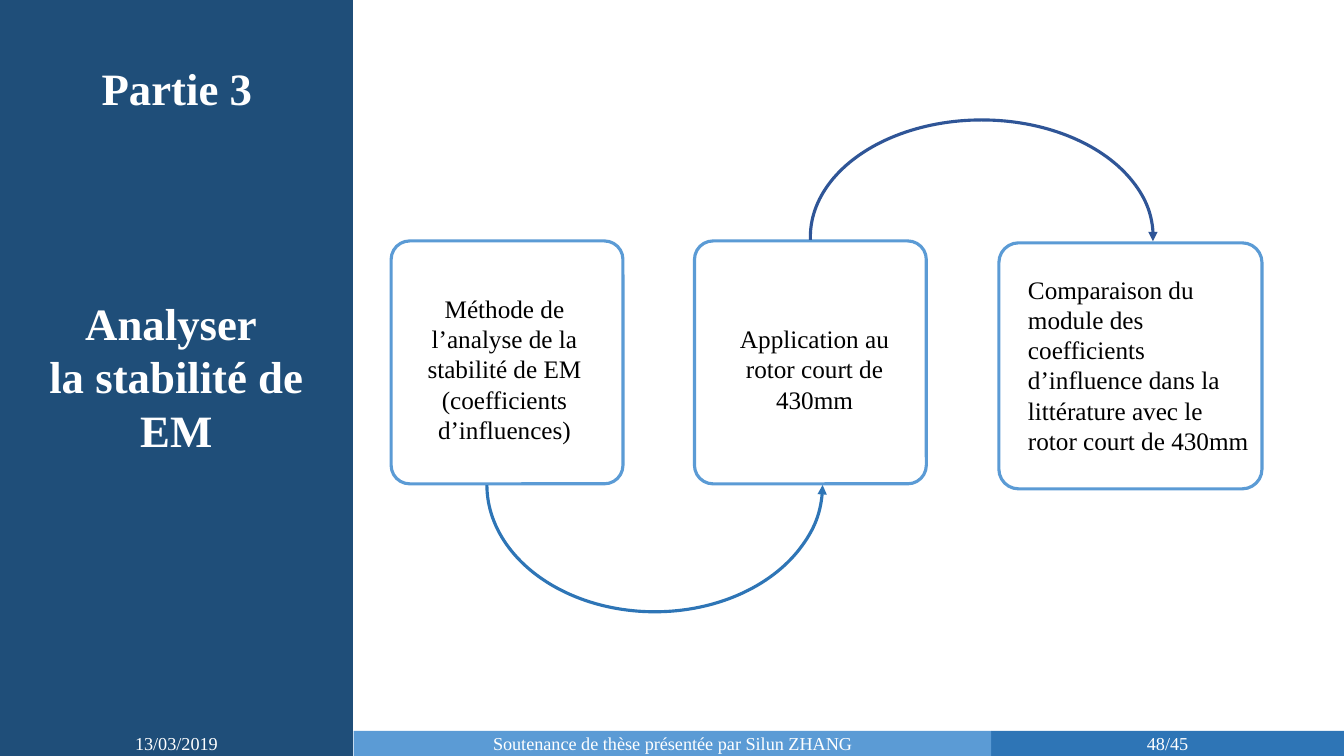
import pptx
import pptx.dml.color
import pptx.enum.shapes
import pptx.enum.text
import pptx.oxml
import pptx.util
from pptx.oxml.ns import qn

Pt = pptx.util.Pt
SHAPES = pptx.enum.shapes.MSO_SHAPE
ALIGN = pptx.enum.text.PP_ALIGN

SLIDE_WIDTH, SLIDE_HEIGHT = 960, 540
PANEL_WIDTH, FOOTER_HEIGHT = 252, 18
NAVY, BLUE, SKY, INDIGO = "1F4E79", "2E75B6", "5B9BD5", "2F5597"
WHITE, BLACK = "FFFFFF", "000000"

FOOTERS = [
    ("48/45", 708, 252, BLUE),
    ("13/03/2019", 0, PANEL_WIDTH, NAVY),
    ("Soutenance de thèse présentée par Silun ZHANG", 252.5, 455.5, SKY),
]
TITLES = [
    (["Analyser ", "la stabilité de EM"], (5, 207.4, 242, 123.8), True),
    (["Partie 3"], (64.8, 39.6, 123.1, 46.1), False),
]
STEPS = [
    (["Méthode de l’analyse de la stabilité de EM", "(coefficients d’influences)"],
     (288.7, 205.9, 143.3, 116.6), ALIGN.CENTER, (279.4, 172.1, 165.6, 173.5)),
    (["Application au\nrotor court de 430mm"],
     (496.1, 227.5, 171.4, 72.7), ALIGN.CENTER, (496.1, 172.1, 165.6, 173.5)),
    (["Comparaison du module des coefficients d’influence dans la littérature avec le rotor court de 430mm"],
     (727.2, 192.2, 174.2, 138.2), ALIGN.LEFT, (713.5, 173.5, 187.9, 175.7)),
]
ARCS = [
    ((347.8, 255.6, 239.8, 181.4), (180.08, 359.93), BLUE, True),
    ((578.9, 85.7, 244.8, 167), (178.96, 1.5), INDIGO, False),
]


def color(value):
    return pptx.dml.color.RGBColor.from_string(value)


def add_shape(kind, bounds, fill=None, line=None, width=2.25):
    shape = slide.shapes.add_shape(kind, *map(Pt, bounds))
    shape.shadow.inherit = False
    if fill:
        shape.fill.solid()
        shape.fill.fore_color.rgb = color(fill)
    else:
        shape.fill.background()
    if line:
        shape.line.color.rgb = color(line)
        shape.line.width = Pt(width)
    else:
        shape.line.fill.background()
    return shape


def write(frame, paragraphs, size, ink, alignment=ALIGN.CENTER, bold=False):
    for index, text in enumerate(paragraphs):
        paragraph = frame.paragraphs[0] if index == 0 else frame.add_paragraph()
        paragraph.alignment = alignment
        for row, part in enumerate(text.split("\n")):
            if row:
                paragraph.add_line_break()
            run = paragraph.add_run()
            run.text = part
            run.font.name = "Times New Roman"
            run.font.size = Pt(size)
            run.font.bold = bold
            run.font.color.rgb = color(ink)


def add_text(paragraphs, bounds, size, ink, alignment=ALIGN.CENTER, bold=False, wrap=True):
    frame = slide.shapes.add_textbox(*map(Pt, bounds)).text_frame
    frame.word_wrap = wrap
    frame.auto_size = pptx.enum.text.MSO_AUTO_SIZE.SHAPE_TO_FIT_TEXT
    write(frame, paragraphs, size, ink, alignment, bold)


def add_arc(bounds, angles, ink, flipped):
    arc = add_shape(SHAPES.ARC, bounds, line=ink)
    for index, degrees in enumerate(angles):
        arc.adjustments[index] = degrees * 0.6
    if flipped:
        arc._element.spPr.find(qn("a:xfrm")).set("flipV", "1")
    arrowhead = pptx.oxml.parse_xml(
        '<a:tailEnd xmlns:a="http://schemas.openxmlformats.org/drawingml/2006/main" type="triangle"/>')
    arc._element.spPr.find(qn("a:ln")).append(arrowhead)


presentation = pptx.Presentation()
presentation.slide_width = Pt(SLIDE_WIDTH)
presentation.slide_height = Pt(SLIDE_HEIGHT)
slide = presentation.slides.add_slide(presentation.slide_layouts[6])

add_shape(SHAPES.RECTANGLE, (0, 0, PANEL_WIDTH, SLIDE_HEIGHT), NAVY, NAVY, 1)
for paragraphs, bounds, wrap in TITLES:
    add_text(paragraphs, bounds, 32, WHITE, bold=True, wrap=wrap)

for text, left, width, fill in FOOTERS:
    bounds = (left, SLIDE_HEIGHT - FOOTER_HEIGHT, width, FOOTER_HEIGHT)
    footer = add_shape(SHAPES.RECTANGLE, bounds, fill)
    footer.text_frame.vertical_anchor = pptx.enum.text.MSO_ANCHOR.MIDDLE
    write(footer.text_frame, [text], 13, WHITE)

for paragraphs, bounds, alignment, frame_bounds in STEPS:
    add_text(paragraphs, bounds, 18, BLACK, alignment)
    add_shape(SHAPES.ROUNDED_RECTANGLE, frame_bounds, line=SKY).adjustments[0] = 0.08

for arc in ARCS:
    add_arc(*arc)

presentation.save("out.pptx")
